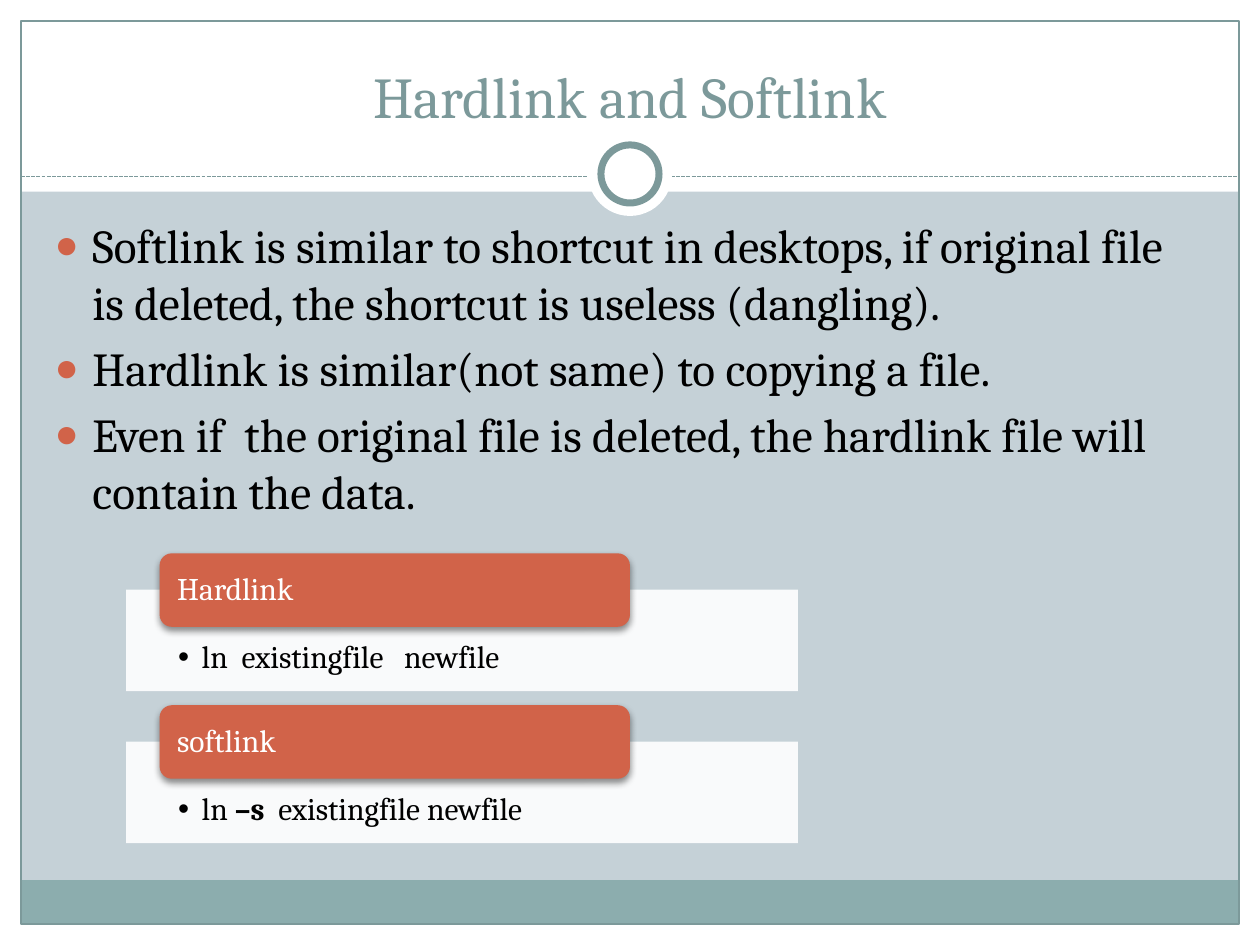
from lxml import etree
from pptx import Presentation
from pptx.dml.color import RGBColor
from pptx.enum.dml import MSO_LINE
from pptx.enum.shapes import MSO_CONNECTOR, MSO_SHAPE
from pptx.enum.text import MSO_ANCHOR, MSO_AUTO_SIZE, PP_ALIGN
from pptx.oxml.ns import qn
from pptx.util import Pt

RECT, ROUND, OVAL = MSO_SHAPE.RECTANGLE, MSO_SHAPE.ROUNDED_RECTANGLE, MSO_SHAPE.OVAL
TOP, MIDDLE, BOTTOM = MSO_ANCHOR.TOP, MSO_ANCHOR.MIDDLE, MSO_ANCHOR.BOTTOM
LEFT, CENTER = PP_ALIGN.LEFT, PP_ALIGN.CENTER

TITLE = "Hardlink and Softlink"
BULLETS = [
    "Softlink is similar to shortcut in desktops, if original file "
    "is deleted, the shortcut is useless (dangling).",
    "Hardlink is similar(not same) to copying a file.",
    "Even if  the original file is deleted, the hardlink file will contain the data.",
]
# Heading, then the command as (text, bold) runs
COMMANDS = [
    ("Hardlink", [("ln  existingfile   newfile", False)]),
    ("softlink", [("ln ", False), ("–s  ", True), ("existingfile newfile", False)]),
]
COLORS = {"back": "C5D1D7", "white": "FFFFFF", "band": "8CADAE",
          "line": "7C999A", "accent": "D16349", "text": "000000"}
FONT = "Cambria"
W, H, EDGE = 720, 540, 12
RULE_Y = 100.8
HEAD_TOP, PANEL_TOP, STEP = 316.2, 337, 86.8


def rgb(name):
    return RGBColor.from_string(COLORS[name])


def add_box(shapes, kind, box, fill=None, line=None, width=0.75):
    s = shapes.add_shape(kind, *map(Pt, box))
    s.shadow.inherit = False
    if fill:
        s.fill.solid()
        s.fill.fore_color.rgb = rgb(fill)
    else:
        s.fill.background()
    if line:
        s.line.color.rgb = rgb(line)
        s.line.width = Pt(width)
    else:
        s.line.fill.background()
    return s


def add_run(p, text, size, color, bold=False):
    r = p.add_run()
    r.text = text
    for name, value in {"name": FONT, "size": Pt(size), "bold": bold}.items():
        setattr(r.font, name, value)
    r.font.color.rgb = rgb(color)


def set_frame(tf, anchor, insets):
    tf.word_wrap = True
    tf.auto_size = MSO_AUTO_SIZE.NONE
    tf.vertical_anchor = anchor
    for side, value in zip(("left", "top", "right", "bottom"), insets):
        setattr(tf, "margin_" + side, Pt(value))


def set_bullet(p, char, indent, color, percent):
    pPr = p._p.get_or_add_pPr()
    pPr.set("marL", str(Pt(indent)))
    pPr.set("indent", str(-Pt(indent)))
    clr = etree.SubElement(pPr, qn("a:buClr"))
    etree.SubElement(clr, qn("a:srgbClr"), val=COLORS[color])
    etree.SubElement(pPr, qn("a:buSzPct"), val=str(percent * 1000))
    etree.SubElement(pPr, qn("a:buFont"), typeface="Arial")
    etree.SubElement(pPr, qn("a:buChar"), char=char)


def add_shadow(s):
    effects = s._element.spPr.find(qn("a:effectLst"))
    shadow = etree.SubElement(effects, qn("a:outerShdw"), blurRad=str(Pt(4)),
                              dist=str(Pt(2)), dir="5400000", rotWithShape="0")
    clr = etree.SubElement(shadow, qn("a:srgbClr"), val=COLORS["text"])
    etree.SubElement(clr, qn("a:alpha"), val="45000")


def add_frame(shapes):
    """Draw the white margins, footer band, outline, dashed rule and ring."""
    for box in [(0, H - EDGE, W, EDGE), (0, 0, W, 109.6),
                (0, 0, EDGE, H), (W - EDGE, 0, EDGE, H)]:
        add_box(shapes, RECT, box, "white")
    add_box(shapes, RECT, (EDGE, 503, W - 2 * EDGE, 25), "band")
    add_box(shapes, RECT, (EDGE, EDGE, W - 2 * EDGE, H - 2 * EDGE), line="line")

    rule = shapes.add_connector(MSO_CONNECTOR.STRAIGHT, Pt(EDGE), Pt(RULE_Y),
                                Pt(W - EDGE), Pt(RULE_Y))
    rule.line.color.rgb = rgb("line")
    rule.line.width = Pt(0.75)
    rule.line.dash_style = MSO_LINE.SQUARE_DOT
    etree.SubElement(rule._element.spPr, qn("a:effectLst"))

    for size, line in [(48, None), (33.2, "line")]:
        box = (W / 2 - size / 2, 99.4 - size / 2, size, size)
        add_box(shapes, OVAL, box, "white", line, 4)


def place(s, box):
    """Move a placeholder and bring it in front of the frame."""
    s.left, s.top, s.width, s.height = map(Pt, box)
    tree = s._element.getparent()
    tree.append(s._element)


def add_command(shapes, i, heading, runs):
    panel = add_box(shapes, RECT, (72, PANEL_TOP + i * STEP, 384, 58), "white")
    clr = panel._element.spPr.find(qn("a:solidFill"))[0]
    etree.SubElement(clr, qn("a:alpha"), val="90000")
    set_frame(panel.text_frame, TOP, (29.8, 29.5, 29.8, 10))
    p = panel.text_frame.paragraphs[0]
    p.alignment, p.line_spacing = LEFT, 0.9
    set_bullet(p, "•", 13.5, "text", 100)
    for text, bold in runs:
        add_run(p, text, 18, "text", bold)

    head = add_box(shapes, ROUND, (91.2, HEAD_TOP + i * STEP, 268.8, 42), "accent")
    add_shadow(head)
    set_frame(head.text_frame, MIDDLE, (8, 0, 8, 0))
    p = head.text_frame.paragraphs[0]
    p.alignment, p.line_spacing = LEFT, 0.9
    add_run(p, heading, 18, "white")


def main():
    prs = Presentation()
    prs.slide_width, prs.slide_height = Pt(W), Pt(H)
    slide = prs.slides.add_slide(prs.slide_layouts[1])
    slide.background.fill.solid()
    slide.background.fill.fore_color.rgb = rgb("back")
    shapes = slide.shapes
    title, body = shapes.title, slide.placeholders[1]
    add_frame(shapes)

    place(title, (24, 18, 672, 60))
    set_frame(title.text_frame, BOTTOM, (7.2, 3.6, 7.2, 3.6))
    p = title.text_frame.paragraphs[0]
    p.alignment = CENTER
    add_run(p, TITLE, 33, "line")

    place(body, (24, 120, 670, 360))
    tf = body.text_frame
    set_frame(tf, TOP, (7.2, 3.6, 7.2, 3.6))
    for i, text in enumerate(BULLETS):
        p = tf.add_paragraph() if i else tf.paragraphs[0]
        set_bullet(p, "●", 21.6, "accent", 85)
        add_run(p, text, 27, "text")

    for i, (heading, runs) in enumerate(COMMANDS):
        add_command(shapes, i, heading, runs)
    prs.save("out.pptx")


if __name__ == "__main__":
    main()
